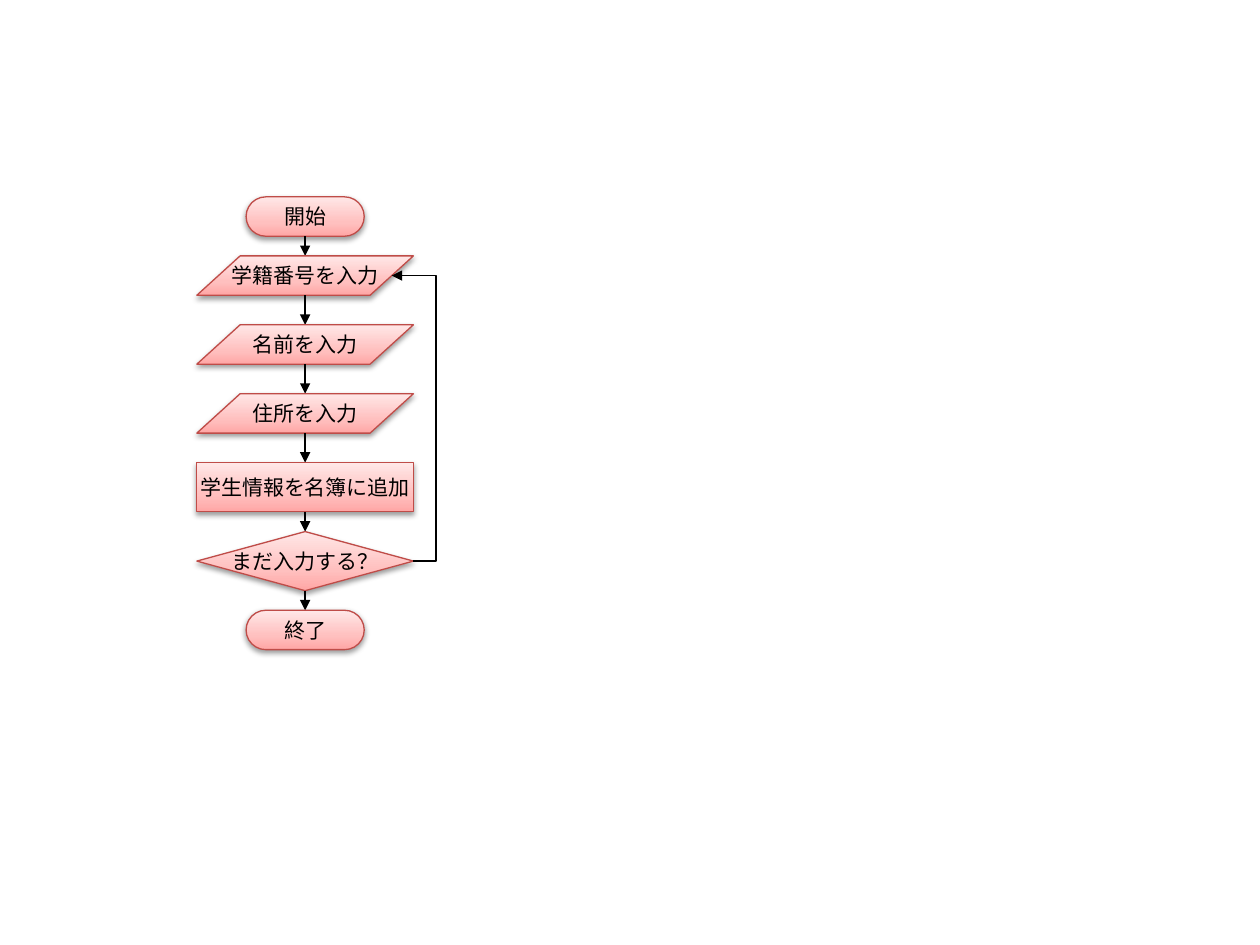
import pptx
import pptx.util
import pptx.dml.color
import pptx.enum.shapes
import pptx.enum.text
import pptx.oxml
import pptx.oxml.ns

Inches, Pt = pptx.util.Inches, pptx.util.Pt
RGBColor = pptx.dml.color.RGBColor
Kind = pptx.enum.shapes.MSO_SHAPE
Link = pptx.enum.shapes.MSO_CONNECTOR
NS = pptx.oxml.ns.nsdecls("a")

FONT = "Noto Sans CJK JP"
BLACK = RGBColor(0x00, 0x00, 0x00)
BORDER = RGBColor(0xBF, 0x4C, 0x48)
GRADIENT = [
    (0, RGBColor(0xFF, 0xA6, 0xA5)),
    (35, RGBColor(0xFF, 0xC0, 0xBF)),
    (100, RGBColor(0xFF, 0xE7, 0xE7)),
]

# Grid units: 128 across the slide width
GRID = 10 / 128
CENTER, TOP = 31, 20
LOOP_OUT, LOOP_IN = 2.3, 2.2

# text, shape, width, height, gap below, width of the arrow below
STEPS = [
    ("開始", Kind.ROUNDED_RECTANGLE, 12, 4, 2, 0.75),
    ("学籍番号を入力", Kind.FLOWCHART_DATA, 22, 4, 3, 0.75),
    ("名前を入力", Kind.FLOWCHART_DATA, 22, 4, 3, 0.75),
    ("住所を入力", Kind.FLOWCHART_DATA, 22, 4, 3, 0.75),
    ("学生情報を名簿に追加", Kind.FLOWCHART_PROCESS, 22, 5, 2, 0.75),
    ("まだ入力する？", Kind.FLOWCHART_DECISION, 22, 6, 2, 1),
    ("終了", Kind.ROUNDED_RECTANGLE, 12, 4, 0, 0),
]
LOOP_FROM, LOOP_TO = 5, 1


def units(value):
    return Inches(value * GRID)


def paint(shape):
    """Give a step its three-stop gradient, border and soft shadow."""
    shape.fill.gradient()
    shape.fill.gradient_angle = 90
    properties = shape.element.spPr
    stops = properties.find(".//" + pptx.oxml.ns.qn("a:gsLst"))
    for stop in list(stops):
        stops.remove(stop)
    for position, color in GRADIENT:
        stops.append(pptx.oxml.parse_xml(
            f'<a:gs {NS} pos="{position * 1000}"><a:srgbClr val="{color}"/></a:gs>'))
    shape.line.color.rgb = BORDER
    shape.line.width = Pt(0.75)
    properties.append(pptx.oxml.parse_xml(
        f'<a:effectLst {NS}><a:outerShdw blurRad="{Pt(3.15)}" dist="{Pt(1.57)}" '
        'dir="5400000" rotWithShape="0"><a:srgbClr val="000000">'
        '<a:alpha val="38000"/></a:srgbClr></a:outerShdw></a:effectLst>'))


def add_step(page, text, kind, width, height, top):
    shape = page.shapes.add_shape(
        kind, units(CENTER - width / 2), units(top), units(width), units(height))
    if kind == Kind.ROUNDED_RECTANGLE:
        shape.adjustments[0] = 0.5
    paint(shape)
    frame = shape.text_frame
    frame.word_wrap = False
    frame.vertical_anchor = pptx.enum.text.MSO_ANCHOR.MIDDLE
    para = frame.paragraphs[0]
    para.alignment = pptx.enum.text.PP_ALIGN.CENTER
    span = para.add_run()
    span.text = text
    span.font.size = Pt(12)
    span.font.name = FONT
    span.font.color.rgb = BLACK
    span.font._element.append(
        pptx.oxml.parse_xml(f'<a:ea {NS} typeface="{FONT}"/>'))


def add_arrow(page, kind, start, end, width):
    arrow = page.shapes.add_connector(kind, *map(units, start + end))
    arrow.line.color.rgb = BLACK
    arrow.line.width = Pt(width)
    arrow.line._get_or_add_ln().append(
        pptx.oxml.parse_xml(f'<a:tailEnd {NS} type="triangle"/>'))
    arrow.element.spPr.append(pptx.oxml.parse_xml(f"<a:effectLst {NS}/>"))
    return arrow


def main():
    deck = pptx.Presentation()
    deck.slide_width, deck.slide_height = Inches(10), Inches(7.5)
    page = deck.slides.add_slide(deck.slide_layouts[6])

    top = TOP
    middles = []
    for text, kind, width, height, gap, weight in STEPS:
        add_step(page, text, kind, width, height, top)
        middles.append(top + height / 2)
        bottom = top + height
        top = bottom + gap
        if gap:
            add_arrow(page, Link.STRAIGHT, (CENTER, bottom), (CENTER, top), weight)

    right = CENTER + STEPS[LOOP_FROM][2] / 2
    loop = add_arrow(page, Link.ELBOW, (right, middles[LOOP_FROM]),
                     (right - LOOP_IN, middles[LOOP_TO]), 0.75)
    bend = round(-LOOP_OUT / LOOP_IN * 100000)
    guides = loop.element.spPr.prstGeom.get_or_add_avLst()
    guides.append(pptx.oxml.parse_xml(
        f'<a:gd {NS} name="adj1" fmla="val {bend}"/>'))

    deck.save("out.pptx")


if __name__ == "__main__":
    main()
